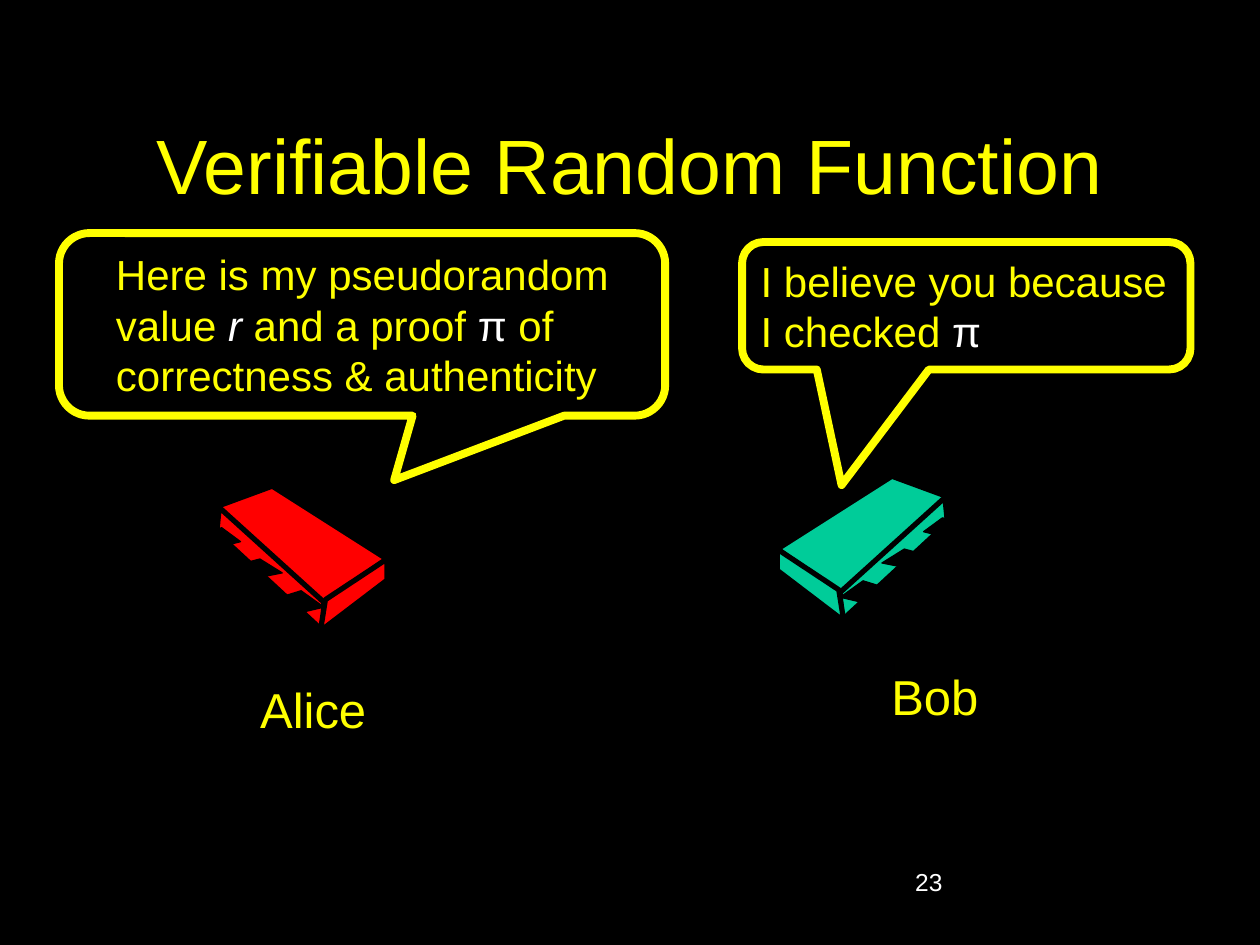
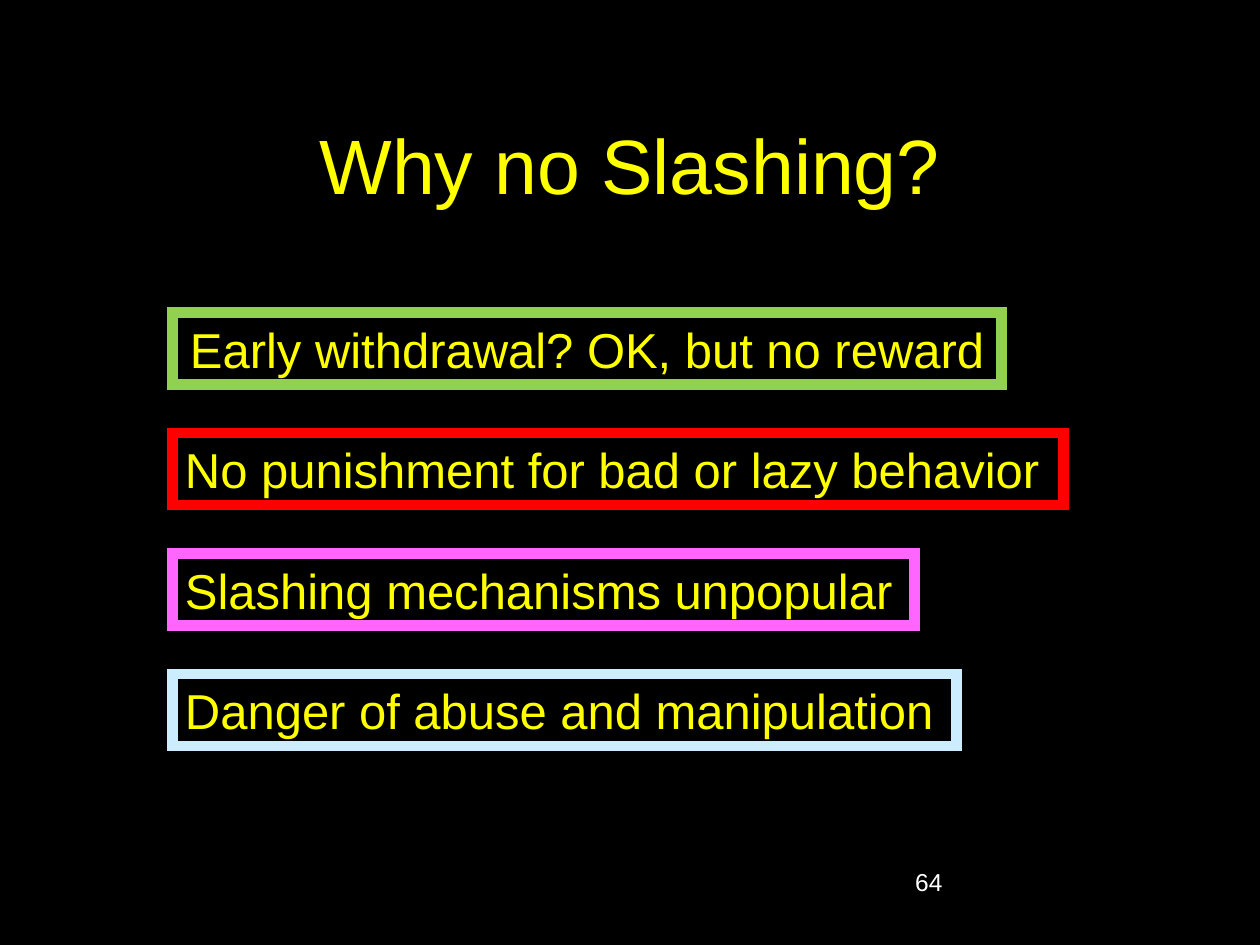
from pptx import Presentation
from pptx.dml.color import RGBColor
from pptx.enum.shapes import MSO_SHAPE as SHAPE
from pptx.enum.text import MSO_ANCHOR as ANCHOR, PP_ALIGN as ALIGN
from pptx.oxml.ns import qn
from pptx.util import Cm, Pt
from lxml import etree

BLACK = RGBColor(0x00, 0x00, 0x00)
WHITE = RGBColor(0xFF, 0xFF, 0xFF)
YELLOW = RGBColor(0xFF, 0xFF, 0x00)
RED = RGBColor(0xFF, 0x00, 0x00)
TEAL = RGBColor(0x00, 0xCC, 0x99)
GREEN = RGBColor(0x92, 0xD0, 0x50)
PINK = RGBColor(0xFF, 0x66, 0xFF)
PALE_BLUE = RGBColor(0xCC, 0xEC, 0xFF)


def format_text(tf, size, color=YELLOW, align=ALIGN.LEFT):
    for p in tf.paragraphs:
        p.alignment = align
        for r in p.runs:
            r.font.name = "Arial"
            r.font.size = Pt(size)
            r.font.color.rgb = color


def paint(sp, fill, line=None, width=0):
    sp.shadow.inherit = False
    sp.fill.solid()
    sp.fill.fore_color.rgb = fill
    if line is None:
        sp.line.fill.background()
    else:
        sp.line.color.rgb = line
        sp.line.width = Pt(width)


prs = Presentation()
prs.slide_width, prs.slide_height = Cm(25.4), Cm(19.05)
background = prs.slide_master.background.fill
background.solid()
background.fore_color.rgb = BLACK

# Titles and page numbers
slides = []
for title, number in [("Verifiable Random Function", "23"), ("Why no Slashing?", "64")]:
    s = prs.slides.add_slide(prs.slide_layouts[5])
    sp = s.shapes.title
    sp.left, sp.top, sp.width, sp.height = Cm(1.9), Cm(1.7), Cm(21.6), Cm(3.18)
    tf = sp.text_frame
    tf.text = title
    tf.vertical_anchor = ANCHOR.MIDDLE
    format_text(tf, 44, align=ALIGN.CENTER)
    tf = s.shapes.add_textbox(Cm(18.2), Cm(17.35), Cm(5.3), Cm(1.27)).text_frame
    tf.word_wrap = True
    tf.text = number
    format_text(tf, 14, WHITE)
    slides.append(s)
vrf, slashing = slides

# Speech bubbles: box, pointer and corner, left margin, text parts (white, italic)
bubbles = [
    ((14.96, 4.88, 9.04, 2.57), (-0.278, 1.407, 0.167), 0.25,
     [("I believe you because I checked ", False, False), ("π", True, False)]),
    ((1.19, 4.7, 12.22, 3.68), (0.053, 0.853, 0.167), 0.97,
     [("Here is my pseudorandom value ", False, False), ("r", True, True),
      (" and a proof ", False, False), ("π", True, False),
      (" of correctness & authenticity", False, False)]),
]
for box, pointer, margin, parts in bubbles:
    sp = vrf.shapes.add_shape(SHAPE.ROUNDED_RECTANGULAR_CALLOUT, *map(Cm, box))
    for i, value in enumerate(pointer):
        sp.adjustments[i] = value
    paint(sp, BLACK, YELLOW, 4.5)
    tf = sp.text_frame
    tf.word_wrap = True
    tf.vertical_anchor = ANCHOR.MIDDLE
    tf.margin_left = Cm(margin)
    for text, white, italic in parts:
        r = tf.paragraphs[0].add_run()
        r.text = text
        r.font.italic = italic
    format_text(tf, 24)
    for r, (text, white, italic) in zip(tf.paragraphs[0].runs, parts):
        if white:
            r.font.color.rgb = WHITE

# Names under the chips
for name, left, top, width in [("Alice", 4.98, 13.56, 2.67), ("Bob", 17.7, 13.3, 2.29)]:
    sp = vrf.shapes.add_shape(SHAPE.RECTANGLE, Cm(left), Cm(top), Cm(width), Cm(1.45))
    paint(sp, BLACK)
    tf = sp.text_frame
    tf.word_wrap = False
    tf.text = name
    format_text(tf, 28, align=ALIGN.CENTER)

# Chip outlines in cm from the chip's corner, back to front
back_legs = [
    [(0.64, 1.27), (0.23, 1.07), (0, 1.27), (0, 2.54),
     (0.23, 2.34), (0.23, 1.47), (0.64, 1.7)],
    [(1.57, 0.64), (1.14, 0.43), (0.94, 0.64), (0.94, 1.9),
     (1.14, 1.7), (1.14, 0.84), (1.57, 1.07)],
    [(2.54, 0.18), (2.13, 0), (1.9, 0.18), (1.9, 1.27),
     (2.13, 1.09), (2.13, 0.36), (2.54, 0.53)],
]
faces = [
    [(2.54, 0), (0.23, 1.47), (1.52, 2.36), (3.71, 0.43)],
    [(3.61, 0.43), (1.5, 2.34), (1.52, 2.92), (3.66, 0.94)],
    [(0.23, 1.47), (0.23, 1.9), (1.57, 2.92), (1.47, 2.29)],
]
front_legs = [
    [(1.96, 2.11), (1.5, 2.44), (2.26, 2.62), (2.26, 3.61), (2.54, 3.28), (2.54, 2.29)],
    [(2.79, 1.47), (2.34, 1.75), (3.1, 1.9), (3.1, 2.74), (3.4, 2.46), (3.4, 1.63)],
    [(3.56, 0.84), (3.18, 1.12), (3.78, 1.27), (3.78, 2.11), (4.04, 1.83), (4.04, 0.99)],
]

# Bob's chip, and Alice's as its mirror image
for x0, y0, direction, color in [(15.44, 9.6, 1, TEAL), (8.03, 9.8, -1, RED)]:
    chip = vrf.shapes.add_group_shape()
    for outlines, fill, width in [(back_legs, BLACK, 0.75), (faces, color, 3),
                                  (front_legs, BLACK, 0.75)]:
        for outline in outlines:
            points = [(Cm(x0 + direction * x), Cm(y0 + y)) for x, y in outline]
            builder = chip.shapes.build_freeform(*points[0])
            builder.add_line_segments(points[1:], close=True)
            paint(builder.convert_to_shape(), fill, BLACK, width)

# Framed statements
statements = [
    ("Early withdrawal? OK, but no reward", 16.71, GREEN, ALIGN.CENTER),
    ("No punishment for bad or lazy behavior", 17.96, RED, ALIGN.LEFT),
    ("Slashing mechanisms unpopular", 14.96, PINK, ALIGN.LEFT),
    ("Danger of abuse and manipulation", 15.8, PALE_BLUE, ALIGN.LEFT),
]
for i, (text, width, color, align) in enumerate(statements):
    sp = slashing.shapes.add_shape(SHAPE.RECTANGLE, Cm(3.48), Cm(6.3 + 2.43 * i),
                                   Cm(width), Cm(1.45))
    paint(sp, BLACK, color, 6)
    etree.SubElement(sp.line._get_or_add_ln(), qn("a:miter"), lim="800000")
    tf = sp.text_frame
    tf.word_wrap = True
    tf.text = text
    format_text(tf, 28, align=align)

prs.save("out.pptx")
